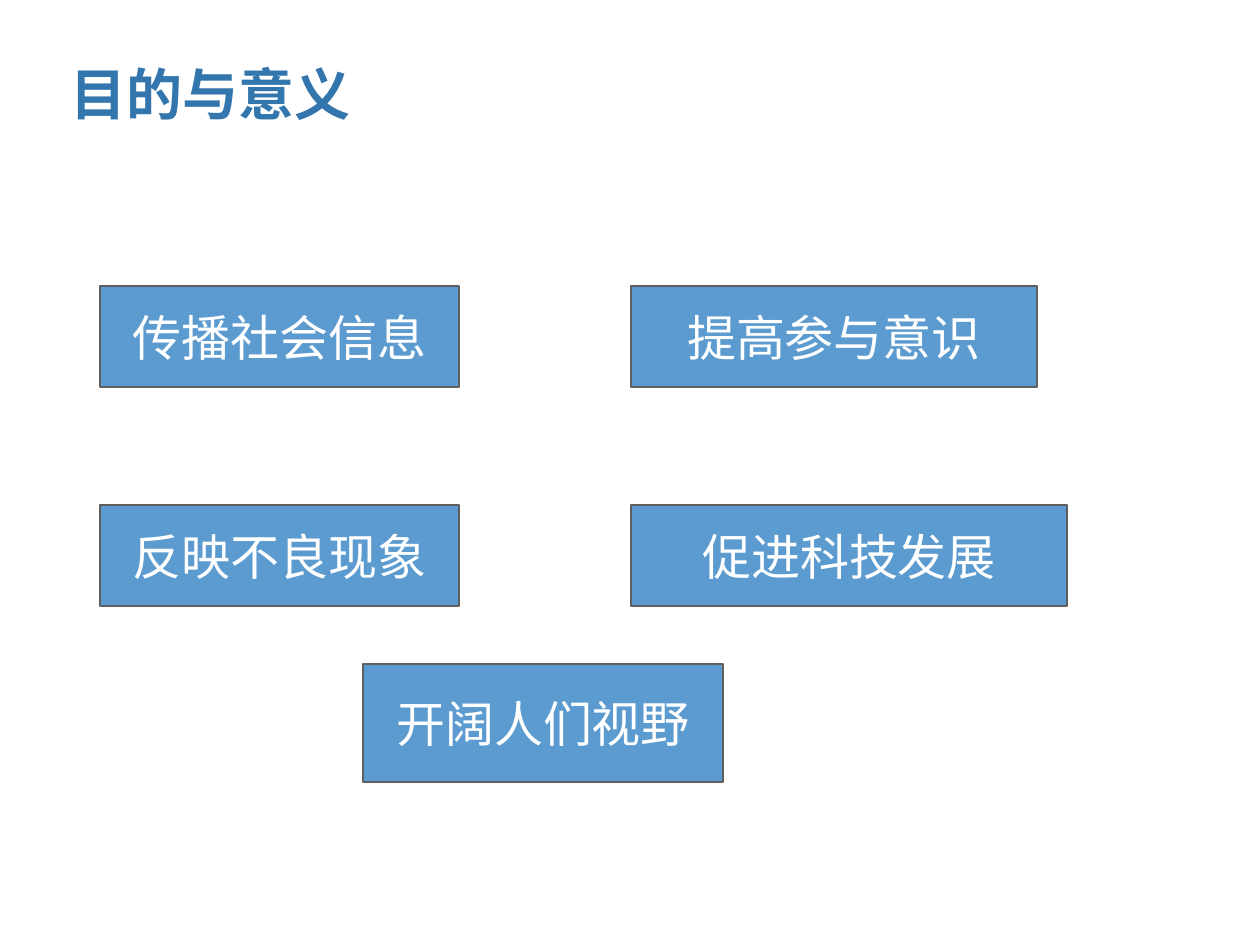
from lxml.etree import SubElement
from pptx import Presentation
from pptx.dml.color import RGBColor
from pptx.enum.shapes import MSO_SHAPE
from pptx.enum.text import MSO_ANCHOR, MSO_AUTO_SIZE, PP_ALIGN
from pptx.oxml.ns import qn
from pptx.util import Pt

PX = 914400 / 126  # EMU in one px
HAN = "Noto Sans CJK SC"
LEFT, RIGHT = 100, 631
TOP, LOW = 286, 505
WIDE, HIGH = 359, 101


def px(n):
    return round(n * PX)


def color(code):
    return RGBColor.from_string(code)


def place(shape, x, y, w, h):
    shape.left, shape.top, shape.width, shape.height = map(px, (x, y, w, h))


def write(shape, text, size, ink, font="Arial", bold=False, wrap=False,
          align=PP_ALIGN.CENTER, anchor=MSO_ANCHOR.MIDDLE, space=None):
    frame = shape.text_frame
    frame.auto_size = MSO_AUTO_SIZE.NONE
    frame.word_wrap = wrap
    frame.vertical_anchor = anchor
    para = frame.paragraphs[0]
    para.alignment = align
    para.line_spacing = space
    run = para.add_run()
    run.text = text
    run.font.size = Pt(size)
    run.font.bold = bold
    run.font.color.rgb = color(ink)
    run.font.name = font
    # Chinese letters take the East Asian font
    SubElement(run.font._element, qn("a:ea"), typeface=HAN)


def add_box(slide, kind, text, x, y, w, h):
    box = slide.shapes.add_shape(kind, *map(px, (x, y, w, h)))
    box.shadow.inherit = False
    box.fill.solid()
    box.fill.fore_color.rgb = color("5B9BCF")
    box.line.color.rgb = color("5F5F5F")
    box.line.width = Pt(0.75)
    write(box, text, 28, "FFFFFF")


def main():
    deck = Presentation()
    deck.slide_width, deck.slide_height = px(1260), px(945)
    slide = deck.slides.add_slide(deck.slide_layouts[5])

    # Title
    title = slide.shapes.title
    place(title, 58, 43, 1143, 91)
    write(title, "目的与意义", 32, "3376AD", font=HAN, bold=True, wrap=True,
          align=PP_ALIGN.LEFT, anchor=MSO_ANCHOR.BOTTOM, space=0.9)

    # Aims: two rows of two, and one below
    step, rect = MSO_SHAPE.FLOWCHART_PROCESS, MSO_SHAPE.RECTANGLE
    aims = [
        (step, "提高参与意识", RIGHT, TOP, 406, HIGH),
        (step, "传播社会信息", LEFT, TOP, WIDE, HIGH),
        (step, "反映不良现象", LEFT, LOW, WIDE, HIGH),
        (rect, "促进科技发展", RIGHT, LOW, 436, HIGH),
        (rect, "开阔人们视野", 363, 664, 360, 118),
    ]
    for aim in aims:
        add_box(slide, *aim)

    deck.save("out.pptx")


if __name__ == "__main__":
    main()
